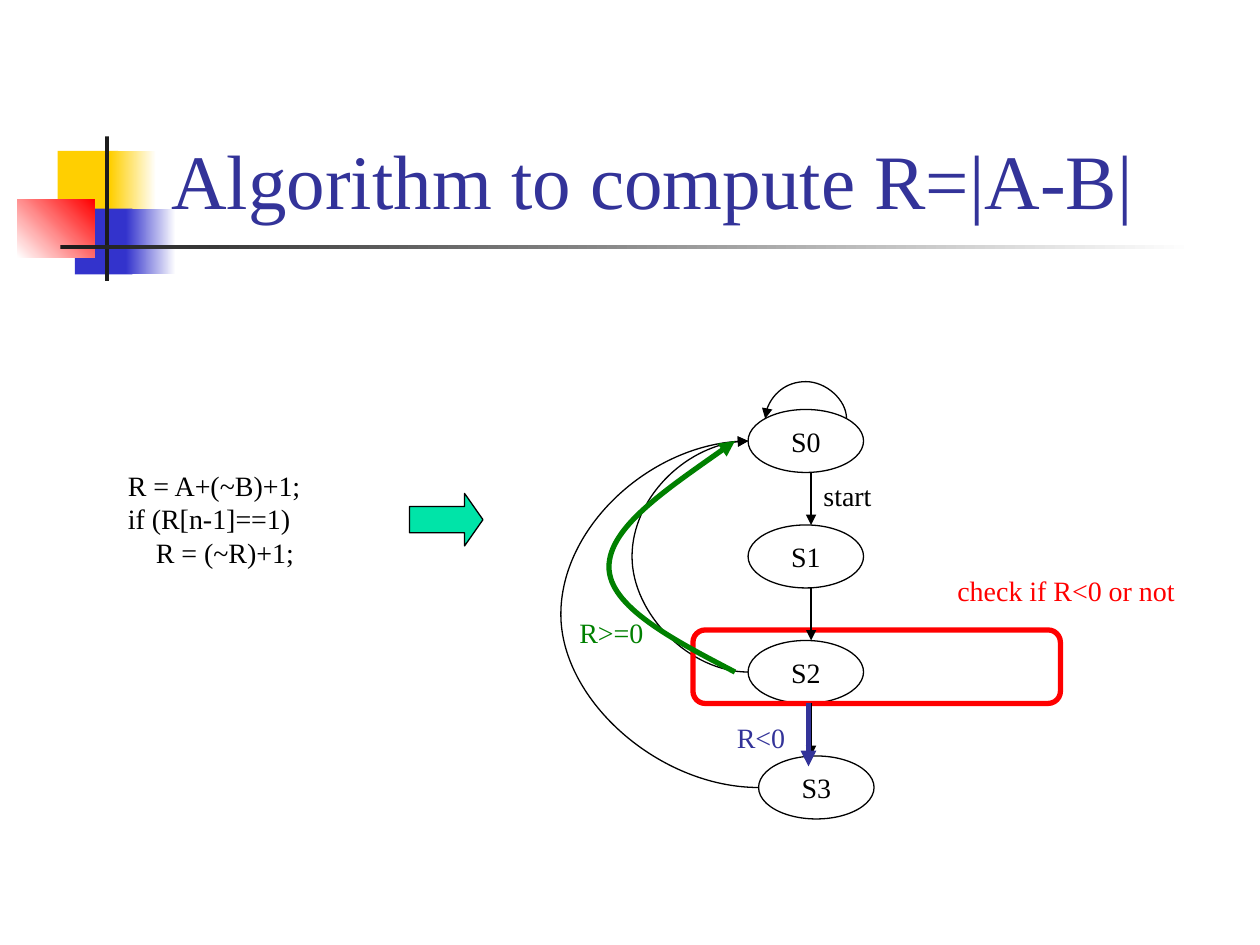
from lxml import etree
from pptx import Presentation, util as u
from pptx.dml.color import RGBColor
from pptx.enum import shapes, text
from pptx.oxml.ns import qn

PX = 9525          # 960 x 720 px slide
THIN = 1588        # depth in EMU of a loop whose two ends are level
FONT = "Times New Roman"
BLACK, NAVY, RED, GREEN = "000000", "333399", "FF0000", "008000"
color = RGBColor.from_string


def write(shape, words, size, hue):
    shape.text_frame.text = words
    for para in shape.text_frame.paragraphs:
        for span in para.runs:
            span.font.name = FONT
            span.font.size = u.Pt(size)
            span.font.color.rgb = color(hue)


def stroke(shape, hue, width, arrow=False):
    shape.line.color.rgb = color(hue)
    shape.line.width = u.Pt(width)
    if arrow:
        etree.SubElement(shape.line._get_or_add_ln(), qn("a:tailEnd"), type="triangle")
    properties = shape._element.spPr
    if properties.find(qn("a:effectLst")) is None:
        etree.SubElement(properties, qn("a:effectLst"))


deck = Presentation()
deck.slide_width, deck.slide_height = 960 * PX, 720 * PX
page = deck.slides.add_slide(deck.slide_layouts[5])
parts = page.shapes
kinds = shapes.MSO_SHAPE

# Corner ornament: plain and fading blocks, then the two bars
ornament = [
    (44, 115, 46, 50, "FFCF01", None, 0),
    (84, 115, 35, 50, "FFCF01", "FFFFFF", 0),
    (57, 159, 44, 50, "3333CC", None, 0),
    (96, 159, 38, 50, "3333CC", "FFFFFF", 0),
    (13, 152, 59, 44, "FFFFFF", RED, 45),
    (80, 104, 3, 110, "1C1C1C", None, 0),
    (46, 187, 864, 3, "1C1C1C", "FFFFFF", 0),
]
for left, top, width, height, first, last, angle in ornament:
    block = parts.add_shape(kinds.RECTANGLE, left * PX, top * PX, width * PX, height * PX)
    block.shadow.inherit = False
    block.line.fill.background()
    if last:
        block.fill.gradient()
        block.fill.gradient_angle = angle
        for stop, hue in zip(block.fill.gradient_stops, (first, last)):
            stop.color.rgb = color(hue)
    else:
        block.fill.solid()
        block.fill.fore_color.rgb = color(first)

# Title, in front of the ornament
title = parts.title
title.left, title.top, title.width, title.height = 121 * PX, 22 * PX, 818 * PX, 154 * PX
write(title, "Algorithm to compute R=|A-B|", 44, NAVY)
title.text_frame.vertical_anchor = text.MSO_ANCHOR.BOTTOM
title.text_frame.paragraphs[0].alignment = text.PP_ALIGN.LEFT
parts._spTree.append(title._element)

# Block arrow from code to state machine
arrow = parts.add_shape(kinds.RIGHT_ARROW, 312 * PX, 376 * PX, 56 * PX, 40 * PX)
arrow.shadow.inherit = False
arrow.adjustments[0], arrow.adjustments[1] = 0.5, 0.35
arrow.fill.solid()
arrow.fill.fore_color.rgb = color("00E4A8")
stroke(arrow, BLACK, 0.75)

# States
for number, left in enumerate((570, 570, 570, 578)):
    state = parts.add_shape(kinds.OVAL, left * PX, (312 + 88 * number) * PX, 88 * PX, 48 * PX)
    state.shadow.inherit = False
    state.fill.background()
    stroke(state, BLACK, 0.75)
    write(state, f"S{number}", 16, BLACK)
    state.text_frame.word_wrap = False
    state.text_frame.vertical_anchor = text.MSO_ANCHOR.MIDDLE
    state.text_frame.paragraphs[0].alignment = text.PP_ALIGN.CENTER

# Curved transitions back to S0: left, top, width, height, rotation, flips, bend
loops = [
    (614 * PX, 288 * PX, THIN, 62 * PX, 270, ("flipH", "flipV"), -186),
    (570 * PX, 336 * PX, THIN, 176 * PX, 180, ("flipH",), -585),
    (570 * PX, 336 * PX, 8 * PX, 264 * PX, 180, (), 18.81),
]
for left, top, width, height, turn, flips, bend in loops:
    loop = parts.add_connector(shapes.MSO_CONNECTOR.CURVE, left, top, left + width, top + height)
    frame = loop._element.spPr.find(qn("a:xfrm"))
    frame.set("rot", str(turn * 60000))
    for flip in flips:
        frame.set(flip, "1")
    guides = loop._element.spPr.find(qn("a:prstGeom")).get_or_add_avLst()
    etree.SubElement(guides, qn("a:gd"), name="adj1", fmla=f"val {round(bend * 100000)}")
    stroke(loop, BLACK, 0.75, arrow=True)

# Frame around the test state
check = parts.add_shape(kinds.ROUNDED_RECTANGLE, 528 * PX, 480 * PX, 280 * PX, 56 * PX)
check.shadow.inherit = False
check.fill.background()
stroke(check, RED, 3)

# Straight transitions
steps = [
    (618, 360, 400, BLACK, 0.75),
    (618, 448, 488, BLACK, 0.75),
    (618, 536, 576, BLACK, 0.75),
    (616, 536, 584, NAVY, 3),
]
for x, top, bottom, hue, width in steps:
    step = parts.add_connector(shapes.MSO_CONNECTOR.STRAIGHT, x * PX, top * PX, x * PX, bottom * PX)
    stroke(step, hue, width, arrow=True)

# Green path for R>=0: two cubic curves
builder = parts.build_freeform(560, 512, scale=PX)
builder.add_line_segments(
    [(512, 487), (464, 462), (464, 432), (464, 402), (512, 370), (560, 336)], close=False)
branch = builder.convert_to_shape()
branch.shadow.inherit = False
branch.fill.background()
outline = branch._element.spPr.find(".//" + qn("a:path"))
segments = outline.findall(qn("a:lnTo"))
for start in (0, 3):
    curve = etree.SubElement(outline, qn("a:cubicBezTo"))
    for segment in segments[start:start + 3]:
        curve.append(segment[0])
        outline.remove(segment)
stroke(branch, GREEN, 3, arrow=True)

# Code and labels
labels = [
    (88, 352, 153, 86, "R = A+(~B)+1;\nif (R[n-1]==1)\n    R = (~R)+1;", BLACK),
    (618, 360, 57, 35, "start", BLACK),
    (720, 432, 185, 35, "check if R<0 or not", RED),
    (432, 464, 68, 35, "R>=0", GREEN),
    (552, 544, 57, 35, "R<0", NAVY),
]
for left, top, width, height, words, hue in labels:
    box = parts.add_textbox(left * PX, top * PX, width * PX, height * PX)
    write(box, words, 16, hue)
    box.text_frame.word_wrap = False
    box.text_frame.auto_size = text.MSO_AUTO_SIZE.SHAPE_TO_FIT_TEXT

deck.save("out.pptx")
